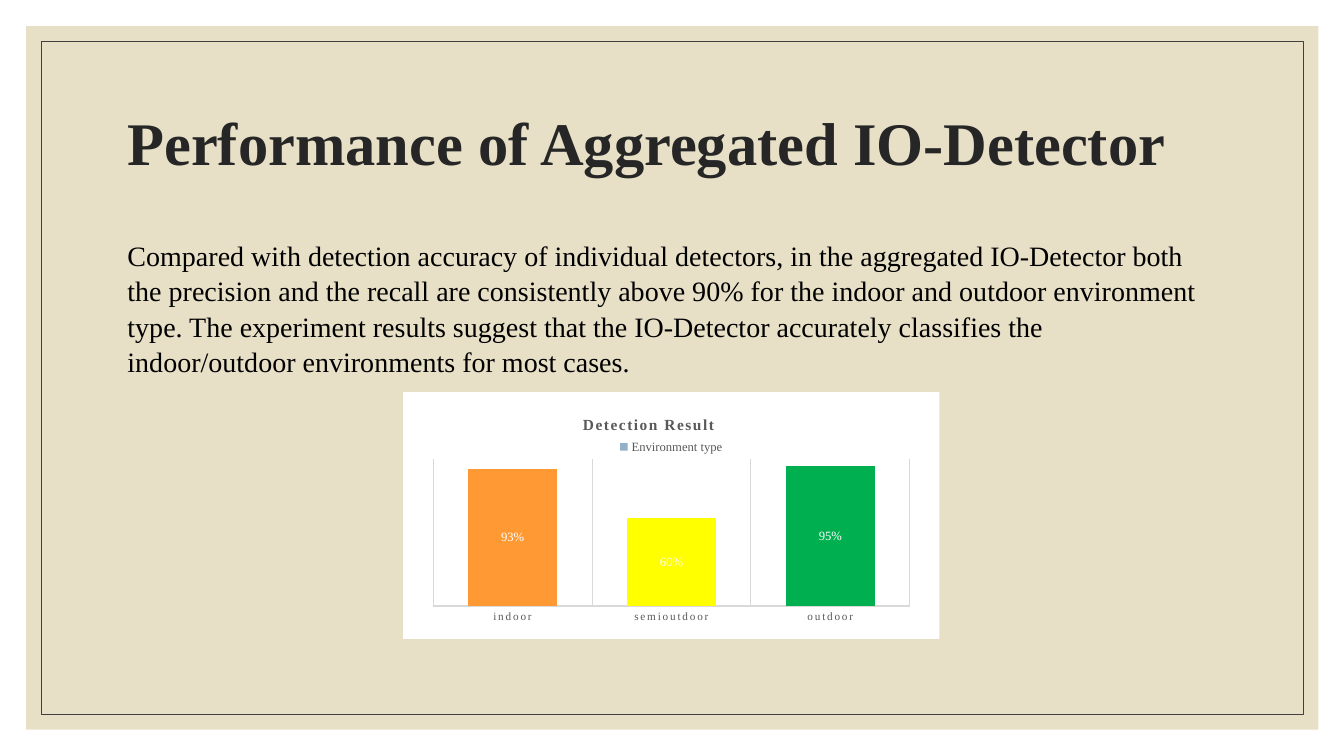
from lxml import etree
from pptx import Presentation
from pptx.chart.data import CategoryChartData
from pptx.dml.color import RGBColor
from pptx.enum.chart import XL_CHART_TYPE, XL_LABEL_POSITION, XL_LEGEND_POSITION, XL_TICK_MARK
from pptx.enum.shapes import MSO_SHAPE
from pptx.enum.text import MSO_ANCHOR, PP_ALIGN
from pptx.oxml import parse_xml
from pptx.oxml.ns import nsdecls, qn
from pptx.util import Pt

RECTANGLE = MSO_SHAPE.RECTANGLE
STACKED_COLUMN = XL_CHART_TYPE.COLUMN_STACKED
LABEL_CENTER = XL_LABEL_POSITION.CENTER
LEGEND_TOP = XL_LEGEND_POSITION.TOP
NO_TICK = XL_TICK_MARK.NONE
TOP, MIDDLE = MSO_ANCHOR.TOP, MSO_ANCHOR.MIDDLE
LEFT = PP_ALIGN.LEFT


def color(hex_code):
    return RGBColor.from_string(hex_code)


def style_font(font, size, hex_code, bold=False, name="Times New Roman"):
    font.name, font.size, font.bold = name, Pt(size), bold
    font.color.rgb = color(hex_code)


def write(frame, text, spacing=1.0, anchor=TOP, **font_format):
    frame.word_wrap = True
    frame.vertical_anchor = anchor
    paragraph = frame.paragraphs[0]
    paragraph.alignment = LEFT
    paragraph.line_spacing = spacing
    run = paragraph.add_run()
    run.text = text
    style_font(run.font, **font_format)


def chart_layout(inner=False, **fractions):
    """Build a manual layout from fractions of the chart area."""
    layout = parse_xml(f"<c:layout {nsdecls('c')}><c:manualLayout/></c:layout>")
    values = {"layoutTarget": "inner"} if inner else {}
    values.update(xMode="edge", yMode="edge", **fractions)
    for tag, value in values.items():
        etree.SubElement(layout[0], qn(f"c:{tag}")).set("val", str(value))
    return layout


def set_layout(parent, position, layout):
    for old in parent.findall(qn("c:layout")):
        parent.remove(old)
    parent.insert(position, layout)


class SlideBuilder:
    DARK, GRAY, RULE = "262626", "595959", "D9D9D9"

    def __init__(self, slide):
        self.slide = slide

    def panel(self, box, fill=None, line=None):
        panel = self.slide.shapes.add_shape(RECTANGLE, *map(Pt, box))
        panel.shadow.inherit = False
        if fill:
            panel.fill.solid()
            panel.fill.fore_color.rgb = color(fill)
        else:
            panel.fill.background()
        if line:
            panel.line.color.rgb = color(line)
            panel.line.width = Pt(0.5)
        else:
            panel.line.fill.background()

    def text(self, box, text, **text_format):
        frame = self.slide.shapes.add_textbox(*map(Pt, box)).text_frame
        write(frame, text, **text_format)

    def rule(self, line):
        line.color.rgb = color(self.RULE)
        line.width = Pt(0.75)

    def column_chart(self, box, title, series_name, results, key_color):
        """Draw one column per (category, value, color) in results."""
        data = CategoryChartData(number_format="0%")
        data.categories = [category for category, _, _ in results]
        data.add_series(series_name, [value for _, value, _ in results])
        chart = self.slide.shapes.add_chart(STACKED_COLUMN, *map(Pt, box), data).chart
        style_font(chart.font, 10, "000000")

        # White chart area
        chart.element.find(qn("c:txPr")).addprevious(parse_xml(
            f"<c:spPr {nsdecls('c', 'a')}><a:solidFill><a:srgbClr val='FFFFFF'/>"
            "</a:solidFill><a:ln><a:noFill/></a:ln></c:spPr>"))

        # Title and legend
        chart.has_title = True
        heading = chart.chart_title
        heading.include_in_layout = False
        heading.text_frame.text = title
        heading_font = heading.text_frame.paragraphs[0].runs[0].font
        style_font(heading_font, 11, self.GRAY, bold=True)
        set_layout(heading.element if hasattr(heading, "element")
                   else chart.element.find(f".//{qn('c:title')}"),
                   1, chart_layout(x=0.33, y=0.08))
        chart.has_legend = True
        chart.legend.position = LEGEND_TOP
        chart.legend.include_in_layout = False
        style_font(chart.legend.font, 9, self.GRAY)

        # Axes
        environments = chart.category_axis
        environments.major_tick_mark = environments.minor_tick_mark = NO_TICK
        environments.has_major_gridlines = True
        self.rule(environments.major_gridlines.format.line)
        self.rule(environments.format.line)
        style_font(environments.tick_labels.font, 8, self.GRAY)
        accuracy = chart.value_axis
        accuracy.minimum_scale, accuracy.maximum_scale = 0, 1
        accuracy.has_major_gridlines = False
        accuracy.visible = False

        # Letter spacing of title and category names
        title_run = chart.element.find(f".//{qn('c:title')}//{qn('a:r')}/{qn('a:rPr')}")
        title_run.set("spc", "100")
        category_text = chart.element.find(f".//{qn('c:catAx')}/{qn('c:txPr')}//{qn('a:defRPr')}")
        category_text.set("spc", "120")

        # Columns and their labels
        plot = chart.plots[0]
        plot.gap_width, plot.overlap = 79, 100
        plot.vary_by_categories = False
        columns = plot.series[0]
        columns.format.fill.solid()
        columns.format.fill.fore_color.rgb = color(key_color)
        for index, (_, _, fill) in enumerate(results):
            column_fill = columns.points[index].format.fill
            column_fill.solid()
            column_fill.fore_color.rgb = color(fill)
        labels = columns.data_labels
        labels.show_value = True
        labels.position = LABEL_CENTER
        labels.number_format, labels.number_format_is_linked = "0%", False
        style_font(labels.font, 9, "FFFFFF")

        set_layout(chart.element.find(f".//{qn('c:plotArea')}"), 0,
                   chart_layout(inner=True, x=0.056, y=0.271, w=0.889, h=0.596))


def main():
    deck = Presentation()
    deck.slide_width, deck.slide_height = Pt(960), Pt(540)
    builder = SlideBuilder(deck.slides.add_slide(deck.slide_layouts[6]))

    # Background panel and inner frame
    builder.panel((18.72, 18.72, 923, 502.5), fill="E7E0C7")
    builder.panel((29.5, 29.5, 901.5, 481), line="404040")

    # Heading and summary
    builder.text((84, 50.4, 792, 108), "Performance of Aggregated IO-Detector",
                 spacing=0.9, anchor=MIDDLE, size=43.2, hex_code=builder.DARK, bold=True)
    builder.text(
        (84, 165.6, 792, 309.6),
        "Compared with detection accuracy of individual detectors, in the aggregated "
        "IO-Detector both the precision and the recall are consistently above 90% for "
        "the indoor and outdoor environment type. The experiment results suggest that "
        "the IO-Detector accurately classifies the indoor/outdoor environments for most "
        "cases.",
        spacing=1.05, size=20, hex_code="000000")

    # Detection accuracy by environment
    builder.column_chart(
        (288, 280, 383, 176.4), "Detection Result", "Environment type",
        [("indoor", 0.93, "FF9933"),
         ("semioutdoor", 0.6, "FFFF00"),
         ("outdoor", 0.95, "00B050")],
        key_color="92B0C8")

    deck.save("out.pptx")


if __name__ == "__main__":
    main()
